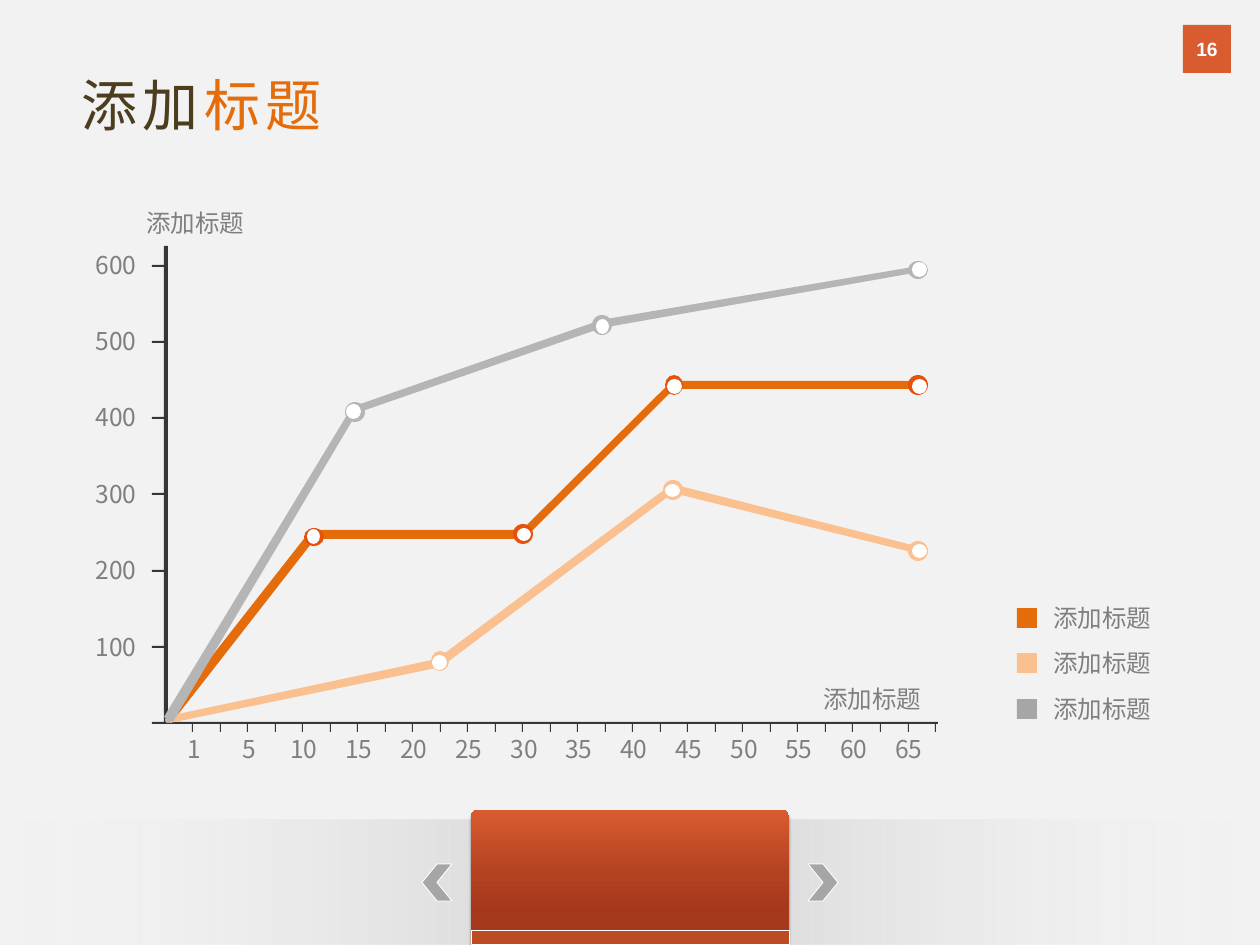
"""Build a slide with a three-series line diagram drawn from shapes."""
from lxml import etree
from pptx import Presentation
from pptx.dml.color import RGBColor
from pptx.enum.shapes import MSO_SHAPE
from pptx.enum.text import MSO_ANCHOR, MSO_AUTO_SIZE, PP_ALIGN
from pptx.oxml.ns import qn
from pptx.util import Pt

RECTANGLE, ROUNDED = MSO_SHAPE.RECTANGLE, MSO_SHAPE.ROUNDED_RECTANGLE
OVAL, CHEVRON = MSO_SHAPE.OVAL, MSO_SHAPE.CHEVRON
TOP, MIDDLE = MSO_ANCHOR.TOP, MSO_ANCHOR.MIDDLE
LEFT, CENTER = PP_ALIGN.LEFT, PP_ALIGN.CENTER
NO_AUTOFIT = MSO_AUTO_SIZE.NONE

BACKGROUND = RGBColor(0xF2, 0xF2, 0xF2)
WHITE = RGBColor(0xFF, 0xFF, 0xFF)
BLACK = RGBColor(0x00, 0x00, 0x00)
BAND_GRAY = RGBColor(0xBF, 0xBF, 0xBF)
ARROW_GRAY = RGBColor(0xA6, 0xA6, 0xA6)
TEXT_GRAY = RGBColor(0x7F, 0x7F, 0x7F)
AXIS_DARK = RGBColor(0x38, 0x36, 0x34)
TITLE_BROWN = RGBColor(0x4C, 0x3D, 0x1E)
ORANGE = RGBColor(0xE4, 0x6C, 0x0A)
MARKER_RED = RGBColor(0xE6, 0x51, 0x0B)
PEACH = RGBColor(0xFA, 0xC0, 0x90)
SERIES_GRAY = RGBColor(0xB5, 0xB5, 0xB6)
CARD_LIGHT = RGBColor(0xD9, 0x5B, 0x30)
CARD_MIDDLE = RGBColor(0xB2, 0x41, 0x20)
CARD_DARK = RGBColor(0xA5, 0x38, 0x1B)
CARD_EDGE = RGBColor(0xBC, 0x4A, 0x22)

SCALE = 914400 / 126
LABEL = "添加标题"

RIBBONS = [
    (ORANGE, [(173, 721), (165, 716), (311, 530), (522, 530), (672, 381),
              (919, 381), (919, 389), (674, 389), (524, 539), (315, 539)]),
    (PEACH, [(170, 723), (169, 716), (437, 659), (672, 484),
             (920, 547), (919, 554), (673, 493), (441, 667)]),
    (SERIES_GRAY, [(173, 722), (164, 717), (352, 407), (601, 320),
                   (919, 266), (920, 272), (602, 328), (357, 413)]),
]
MARKERS = [
    (SERIES_GRAY, (345, 402, 20, 20), (346, 404, 15, 15)),
    (MARKER_RED, (304, 528, 20, 18), (307, 529, 13, 15)),
    (PEACH, (431, 651, 18, 20), (432, 655, 15, 15)),
    (PEACH, (908, 541, 20, 20), (912, 544, 15, 14)),
    (MARKER_RED, (908, 375, 20, 20), (912, 379, 15, 15)),
    (SERIES_GRAY, (908, 261, 20, 18), (912, 262, 15, 15)),
    (MARKER_RED, (513, 524, 20, 20), (517, 528, 14, 13)),
    (PEACH, (663, 480, 20, 20), (665, 484, 15, 13)),
    (MARKER_RED, (665, 375, 18, 20), (667, 379, 15, 15)),
    (SERIES_GRAY, (592, 315, 20, 20), (596, 319, 13, 15)),
]
LEGEND = [(ORANGE, 608), (PEACH, 653), (ARROW_GRAY, 699)]


def emu(*lengths):
    """Turn px lengths into EMU."""
    return [round(length * SCALE) for length in lengths]


class SlideBuilder:
    """Hold the text style and the slide, and draw each kind of element."""

    def __init__(self, slide, font_name="Noto Sans CJK SC"):
        self.slide = slide
        self.shapes = slide.shapes
        self.font_name = font_name

    def start_group(self):
        self.shapes = self.slide.shapes.add_group_shape().shapes

    def set_font(self, paragraph, size, color, name=None, bold=False):
        font = paragraph.font
        font.size, font.bold = Pt(size), bold
        font.color.rgb = color
        font.name = name or self.font_name
        properties = paragraph._p.pPr.find(qn("a:defRPr"))
        etree.SubElement(properties, qn("a:ea"), typeface=font.name)

    def finish(self, shape, fill, line=None, line_width=0.5):
        shape.shadow.inherit = False
        if fill is not None:
            shape.fill.solid()
            shape.fill.fore_color.rgb = fill
        if line is None:
            shape.line.fill.background()
        else:
            shape.line.color.rgb = line
            shape.line.width = Pt(line_width)
        return shape

    def shape(self, kind, box, fill=None, line=None, line_width=0.5):
        shape = self.shapes.add_shape(kind, *emu(*box))
        return self.finish(shape, fill, line, line_width)

    def gradient(self, shape, stops, angle):
        shape.fill.gradient()
        shape.fill.gradient_angle = angle
        stop_list = shape._element.spPr.find(qn("a:gradFill")).find(qn("a:gsLst"))
        stop_list.clear()
        for position, color, opacity in stops:
            stop = etree.SubElement(stop_list, qn("a:gs"), pos=str(position * 1000))
            self.color_element(stop, color, opacity)

    def color_element(self, parent, color, opacity):
        element = etree.SubElement(parent, qn("a:srgbClr"), val=str(color))
        if opacity < 100:
            etree.SubElement(element, qn("a:alpha"), val=str(opacity * 1000))

    def drop_shadow(self, shape, color, opacity, blur, distance):
        effects = shape._element.spPr.find(qn("a:effectLst"))
        shadow = etree.SubElement(
            effects, qn("a:outerShdw"), blurRad=str(Pt(blur)),
            dist=str(Pt(distance)), dir="5400000", rotWithShape="0")
        self.color_element(shadow, color, opacity)

    def ribbon(self, points, fill):
        builder = self.shapes.build_freeform(*points[0], scale=SCALE)
        builder.add_line_segments(points[1:], close=True)
        return self.finish(builder.convert_to_shape(), fill)

    def text(self, text, left, top, width):
        frame = self.shapes.add_textbox(*emu(left, top, width, 43)).text_frame
        frame.word_wrap = True
        paragraph = frame.paragraphs[0]
        paragraph.text = text
        paragraph.alignment = CENTER
        self.set_font(paragraph, 14, TEXT_GRAY)

    def title(self, parts, box):
        title = self.slide.shapes.title
        title.left, title.top, title.width, title.height = emu(*box)
        frame = title.text_frame
        frame.vertical_anchor, frame.auto_size = TOP, NO_AUTOFIT
        paragraph = frame.paragraphs[0]
        paragraph.alignment = LEFT
        self.set_font(paragraph, 32, parts[0][1])
        paragraph._p.pPr.find(qn("a:defRPr")).set("spc", "300")
        for text, color in parts:
            run = paragraph.add_run()
            run.text = text
            run.font.color.rgb = color

    def page_number(self, number, box):
        shape = self.shape(RECTANGLE, box, CARD_LIGHT)
        frame = shape.text_frame
        frame.margin_left = frame.margin_right = 0
        frame.vertical_anchor = MIDDLE
        paragraph = frame.paragraphs[0]
        paragraph.text = number
        paragraph.alignment = CENTER
        self.set_font(paragraph, 11, WHITE, "Arial", True)


def draw_frame(builder):
    """Draw the bottom band, arrows, card, page number and title."""
    band = builder.shape(RECTANGLE, (0, 820, 1260, 125))
    builder.gradient(band, [(0, BACKGROUND, 0), (50, BAND_GRAY, 65),
                            (100, BACKGROUND, 0)], 180)
    builder.shape(CHEVRON, (808, 864, 30, 37), ARROW_GRAY, WHITE)
    previous = builder.shape(CHEVRON, (422, 864, 30, 37), ARROW_GRAY, WHITE)
    previous._element.spPr.find(qn("a:xfrm")).set("flipH", "1")
    card = builder.shape(ROUNDED, (471, 810, 318, 159))
    card.adjustments[0] = 0.04
    builder.gradient(card, [(36, CARD_DARK, 100), (59, CARD_MIDDLE, 100),
                            (100, CARD_LIGHT, 100)], 90)
    builder.drop_shadow(card, BLACK, 40, 1.5, 2)
    builder.page_number("16", (1183, 25, 48, 48))
    builder.shape(RECTANGLE, (471, 930, 318, 14), CARD_EDGE, WHITE, 0.25)
    builder.title([("添加", TITLE_BROWN), ("标题", ORANGE)], (69, 64, 286, 81))


def draw_diagram(builder):
    """Draw the axes, series, markers and axis labels."""
    builder.start_group()
    builder.text(LABEL, 127, 202, 137)
    builder.text(LABEL, 804, 678, 137)
    builder.shape(RECTANGLE, (164, 246, 4, 477), AXIS_DARK)
    builder.shape(RECTANGLE, (165, 722, 773, 2), AXIS_DARK)
    for color, points in RIBBONS:
        builder.ribbon(points, color)
    for color, outer, inner in MARKERS:
        builder.shape(OVAL, outer, color)
        builder.shape(OVAL, inner, WHITE)
    builder.shape(OVAL, (165, 717, 6, 6), SERIES_GRAY)
    for index in range(7):
        builder.shape(RECTANGLE, (152, round(722 - 76.2 * index), 13, 2), AXIS_DARK)
        if index:
            builder.text(str(index * 100), 74, round(702 - 76.4 * index), 84)
    for index in range(28):
        builder.shape(RECTANGLE, (round(192 + 27.52 * index), 724, 1, 8), AXIS_DARK)
    for index in range(14):
        builder.text(str(index * 5 or 1), 153 + 55 * index, 728, 82)


def draw_legend(builder):
    """Draw the colour keys and their labels."""
    builder.start_group()
    for color, top in LEGEND:
        builder.shape(RECTANGLE, (1017, top, 20, 20), color)
        builder.text(LABEL, 1034, top - 11, 137)


def main():
    """Build and save the presentation."""
    presentation = Presentation()
    presentation.slide_width, presentation.slide_height = emu(1260, 945)
    slide = presentation.slides.add_slide(presentation.slide_layouts[5])
    slide.background.fill.solid()
    slide.background.fill.fore_color.rgb = BACKGROUND
    builder = SlideBuilder(slide)
    draw_frame(builder)
    draw_diagram(builder)
    draw_legend(builder)
    presentation.save("out.pptx")


if __name__ == "__main__":
    main()
